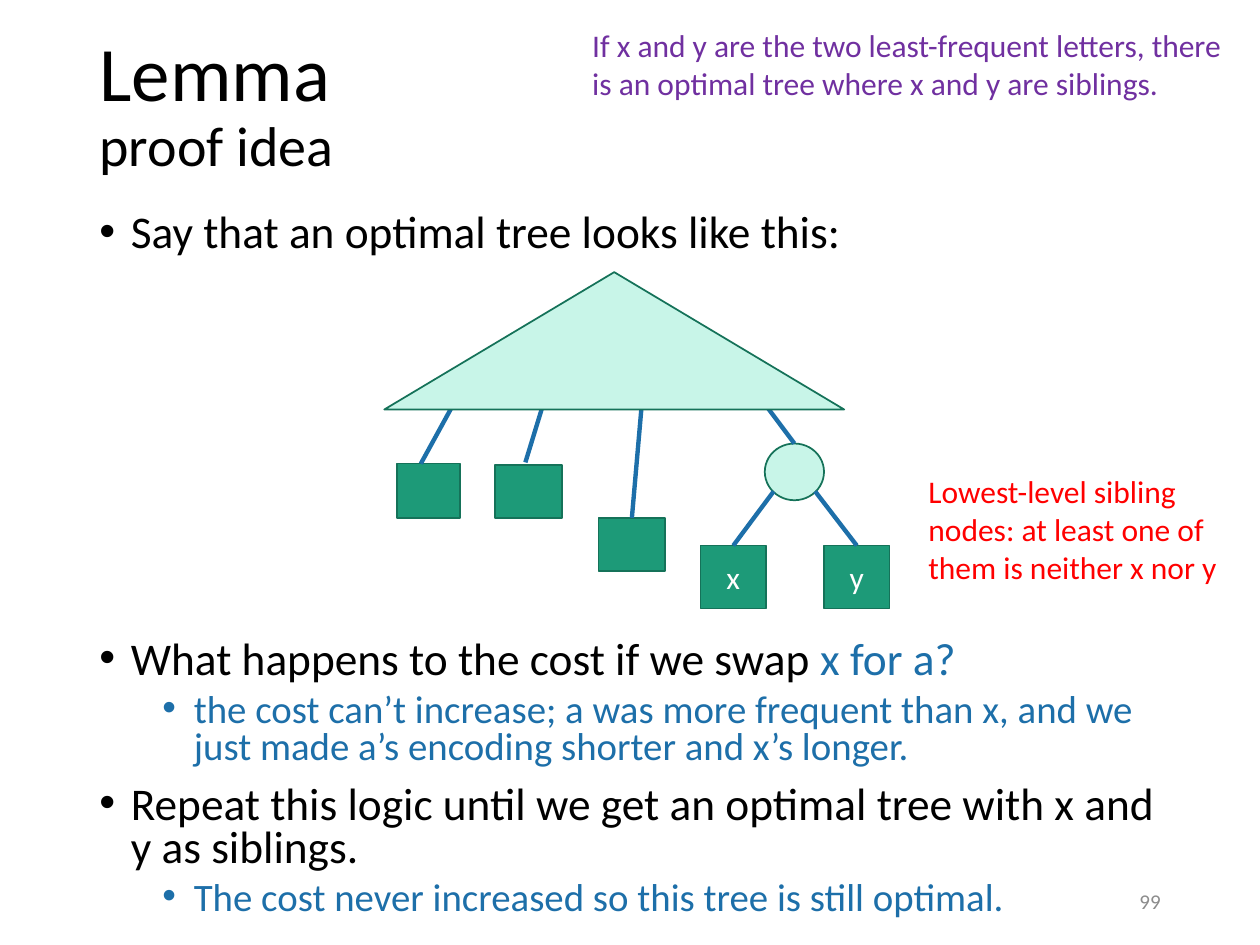
from lxml import etree
from pptx import Presentation
from pptx.dml.color import RGBColor
from pptx.enum import shapes, text
from pptx.oxml import ns
from pptx.util import Inches, Pt

HUES = {"ink": "000000", "blue": "1D6FA9", "mint": "C8F5E8", "green": "1D9A78",
        "edge": "157259", "white": "FFFFFF", "red": "FF0000",
        "violet": "7030A0", "grey": "8C8C8C"}
FONT = "Calibri"
KIND = shapes.MSO_SHAPE
ALIGN = text.PP_ALIGN
MIDDLE = text.MSO_ANCHOR.MIDDLE


def hue(name):
    return RGBColor.from_string(HUES[name])


def style(run, size, color):
    run.font.name = FONT
    run.font.size = Pt(size)
    run.font.color.rgb = hue(color)


def place(shape, box):
    shape.left, shape.top, shape.width, shape.height = map(Inches, box)


def add_title(slide, box):
    title = slide.shapes.title
    place(title, box)
    frame = title.text_frame
    frame.auto_size = text.MSO_AUTO_SIZE.NONE
    frame.vertical_anchor = MIDDLE
    para = frame.paragraphs[0]
    para.text = "Lemma\vproof idea"
    para.alignment = ALIGN.LEFT
    para.line_spacing = 0.9
    for run, size in zip(para.runs, (44, 32)):
        style(run, size, "ink")


def add_frame(slide, box):
    frame = slide.shapes.add_textbox(*map(Inches, box)).text_frame
    frame.word_wrap = True
    return frame


def add_note(slide, box, words, color, size=18, align=ALIGN.LEFT):
    frame = add_frame(slide, box)
    para = frame.paragraphs[0]
    para.text = words
    para.alignment = align
    style(para.runs[0], size, color)
    return frame


def set_bullet(para, level):
    para.level = level
    props = para._p.get_or_add_pPr()
    props.set("marL", str(Inches(0.25 + 0.5 * level)))
    props.set("indent", str(Inches(-0.25)))
    etree.SubElement(props, ns.qn("a:buFont")).set("typeface", "Arial")
    etree.SubElement(props, ns.qn("a:buChar")).set("char", "•")


def add_body(slide, box):
    """Bulleted text, with room for the tree after the first point."""
    points = [
        (0, 0, [("Say that an optimal tree looks like this:", "ink")]),
        (0, 219, [("What happens to the cost if we swap ", "ink"),
                  ("x for a?", "blue")]),
        (1, 5, [("the cost can’t increase; a was more frequent than x, and we "
                 "just made a’s encoding shorter and x’s longer.", "blue")]),
        (0, 10, [("Repeat this logic until we get an optimal tree with x and "
                  "y as siblings.", "ink")]),
        (1, 5, [("The cost never increased so this tree is still optimal.",
                 "blue")]),
    ]
    frame = add_frame(slide, box)
    for i, (level, gap, parts) in enumerate(points):
        para = frame.add_paragraph() if i else frame.paragraphs[0]
        set_bullet(para, level)
        para.line_spacing = 0.8
        para.space_before = Pt(gap)
        for words, color in parts:
            run = para.add_run()
            run.text = words
            style(run, 22.2 if level else 25.9, color)


def add_tree(slide, left, top):
    def node(kind, x, y, w, h, fill, label=""):
        shape = slide.shapes.add_shape(
            kind, *map(Inches, (left + x, top + y, w, h)))
        shape.shadow.inherit = False
        shape.fill.solid()
        shape.fill.fore_color.rgb = hue(fill)
        shape.line.color.rgb = hue("edge")
        shape.line.width = Pt(1)
        if label:
            frame = shape.text_frame
            frame.vertical_anchor = MIDDLE
            para = frame.paragraphs[0]
            para.text = label
            para.alignment = ALIGN.CENTER
            style(para.runs[0], 18, "white")
        return shape

    def link(start, child, end=None):
        """Line to the top of child, or to the point end if given."""
        x, y = start
        a, b = end or start
        line = slide.shapes.add_connector(
            shapes.MSO_CONNECTOR.STRAIGHT,
            *map(Inches, (left + x, top + y, left + a, top + b)))
        if end is None:
            line.end_connect(child, 0)
        line.line.color.rgb = hue("blue")
        line.line.width = Pt(2.5)
        etree.SubElement(line._element.spPr, ns.qn("a:effectLst"))

    rect = KIND.RECTANGLE
    leaves = [((0.1, 1.52, 0.5, 0.43), (0.57, 1.01), (0.29, 1.52)),
              ((0.88, 1.53, 0.53, 0.42), (1.27, 1.02), (1.12, 1.51)),
              ((1.7, 1.95, 0.53, 0.42), (2.04, 1.09), None)]
    for box, start, end in leaves:
        link(start, node(rect, *box, "green"), end)

    parent = node(KIND.OVAL, 3.02, 1.36, 0.47, 0.45, "mint")
    link((3, 1.02), parent)
    for label, x, start in (("x", 2.51, 3.09), ("y", 3.49, 3.42)):
        link((start, 1.74), node(rect, x, 2.17, 0.52, 0.5, "green", label))

    node(KIND.ISOSCELES_TRIANGLE, 0, 0, 3.65, 1.09, "mint")


def main():
    deck = Presentation()
    deck.slide_width, deck.slide_height = Inches(10), Inches(7.5)
    slide = deck.slides.add_slide(deck.slide_layouts[5])
    add_title(slide, (0.69, 0.12, 8.62, 1.45))
    add_body(slide, (0.69, 1.65, 8.62, 5.85))
    add_tree(slide, 3.05, 2.16)
    add_note(slide, (7.27, 3.7, 2.52, 1.01),
             "Lowest-level sibling nodes: at least one of them is neither "
             "x nor y", "red")
    claim = add_note(slide, (4.1, 0.16, 5.88, 0.71),
                     "If x and y are the two least-frequent letters, there is "
                     "an optimal tree where x and y are siblings.", "violet")
    claim.margin_left = Inches(0.6)
    number = add_note(slide, (7.06, 6.95, 2.25, 0.4), "99", "grey", 12,
                      ALIGN.RIGHT)
    number.vertical_anchor = MIDDLE
    deck.save("out.pptx")


if __name__ == "__main__":
    main()
